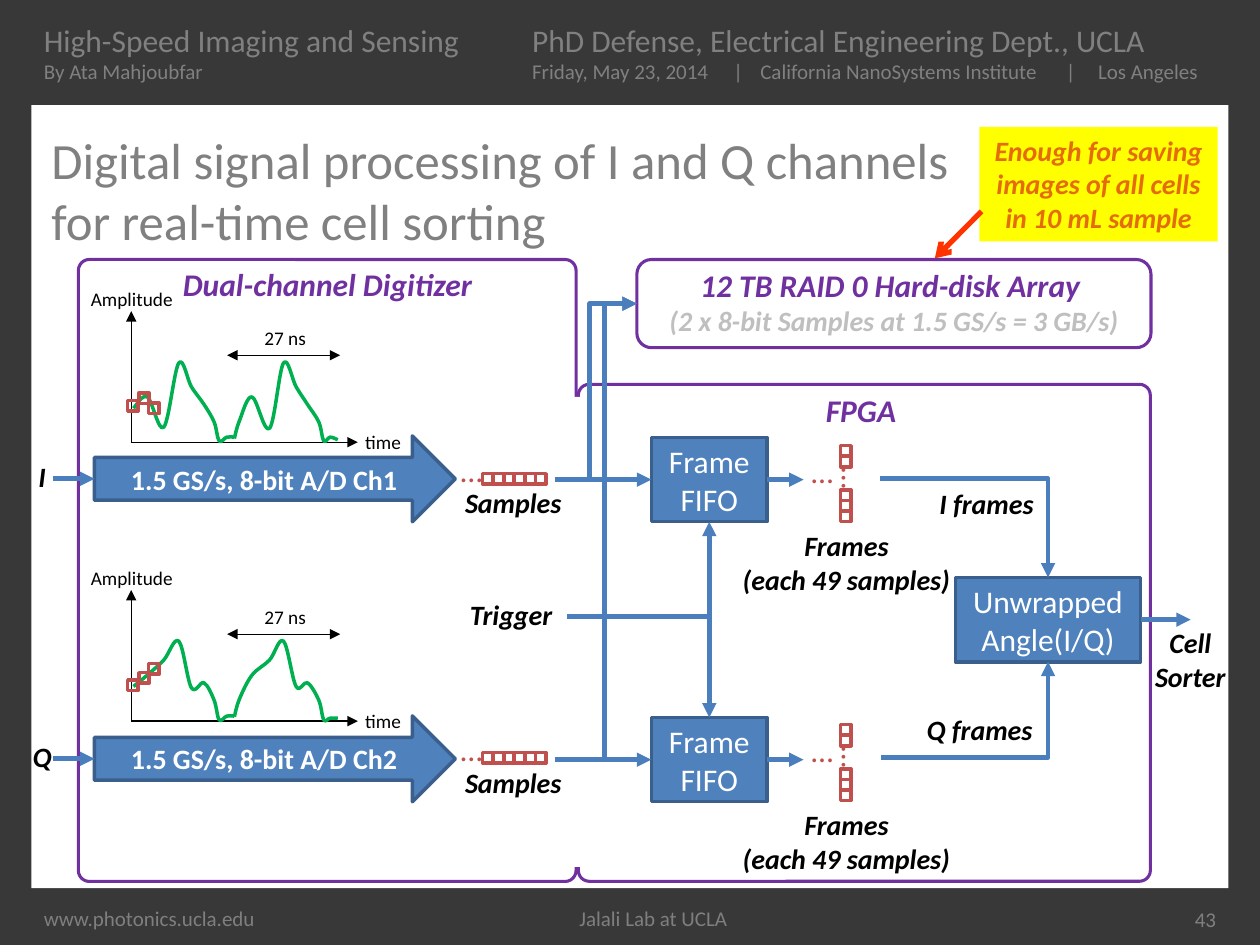
from lxml import etree
from pptx import Presentation
from pptx.dml.color import RGBColor
from pptx.enum import shapes, text
from pptx.oxml import ns
from pptx.util import Pt


class Theme:
    font = "Calibri"
    back, white, black = "383838", "FFFFFF", "000000"
    gray, foot, pale = "808080", "7F7F7F", "BFBFBF"
    blue, edge, wire = "4F81BD", "3A5F8C", "4B7EBC"
    purple, red, green = "7030A0", "C0504D", "00B050"
    yellow, orange, pointer = "FFFF00", "E46C0A", "FF3300"
    title, big, label, small, tiny = 29, 18, 16, 12, 11


RECT = shapes.MSO_SHAPE.RECTANGLE
ROUND = shapes.MSO_SHAPE.ROUNDED_RECTANGLE
ARROW = shapes.MSO_SHAPE.RIGHT_ARROW
LEFT, CENTER, RIGHT = text.PP_ALIGN.LEFT, text.PP_ALIGN.CENTER, text.PP_ALIGN.RIGHT
TOP, MIDDLE = text.MSO_ANCHOR.TOP, text.MSO_ANCHOR.MIDDLE

prs = Presentation()
prs.slide_width, prs.slide_height = Pt(720), Pt(540)
s = prs.slides.add_slide(prs.slide_layouts[6])
s.background.fill.solid()
s.background.fill.fore_color.rgb = RGBColor.from_string(Theme.back)


def box(x, y, w, h, paras=(), kind=None, fill=None, line=None, width=2, style="",
        align=CENTER, anchor=TOP, wrap=True, tabs=()):
    at = Pt(x), Pt(y), Pt(w), Pt(h)
    if kind is None:
        sp = s.shapes.add_textbox(*at)
    else:
        sp = s.shapes.add_shape(kind, *at)
        sp.shadow.inherit = False
        sp.fill.background()
        sp.line.fill.background()
        if fill:
            sp.fill.solid()
            sp.fill.fore_color.rgb = RGBColor.from_string(fill)
        if line:
            sp.line.color.rgb = RGBColor.from_string(line)
            sp.line.width = Pt(width)
    tf = sp.text_frame
    tf.word_wrap, tf.vertical_anchor = wrap, anchor
    for i, (words, size, color) in enumerate(paras):
        p = tf.add_paragraph() if i else tf.paragraphs[0]
        p.alignment = align
        if tabs:
            stops = etree.SubElement(p._p.get_or_add_pPr(), ns.qn("a:tabLst"))
            for stop in tabs:
                etree.SubElement(stops, ns.qn("a:tab"), pos=str(Pt(stop)), algn="l")
        for j, part in enumerate(words.split("\n")):
            if j:
                p.add_line_break()
            r = p.add_run()
            r.text = part
            r.font.name, r.font.size = Theme.font, Pt(size)
            r.font.color.rgb = RGBColor.from_string(color)
            r.font.bold, r.font.italic = "b" in style, "i" in style
    return sp


def wire(x1, y1, x2, y2, color=Theme.wire, width=2.75, head=None, tail="triangle",
         bent=False, start=None, end=None):
    kind = shapes.MSO_CONNECTOR.ELBOW if bent else shapes.MSO_CONNECTOR.STRAIGHT
    c = s.shapes.add_connector(kind, Pt(x1), Pt(y1), Pt(x2), Pt(y2))
    props = c._element.spPr
    if bent:
        props.find(ns.qn("a:prstGeom")).set("prst", "bentConnector2")
    c.line.color.rgb = RGBColor.from_string(color)
    c.line.width = Pt(width)
    ln = c.line._get_or_add_ln()
    for tag, tip in (("a:headEnd", head), ("a:tailEnd", tail)):
        if tip:
            etree.SubElement(ln, ns.qn(tag), type=tip)
    etree.SubElement(props, ns.qn("a:effectLst"))
    if start:
        c.begin_connect(*start)
    if end:
        c.end_connect(*end)


box(18, 509.8, 642, 30, [("www.photonics.ucla.edu\tJalali Lab at UCLA", Theme.small, Theme.foot)],
    align=LEFT, anchor=MIDDLE, tabs=[306])
box(18, 60, 684, 447.5, kind=RECT, fill=Theme.white)
box(18, 0, 684, 60, [
    ("High-Speed Imaging and Sensing\tPhD Defense, Electrical Engineering Dept., UCLA",
     Theme.big, Theme.gray),
    ("By Ata Mahjoubfar\tFriday, May 23, 2014\t|\tCalifornia NanoSystems Institute\t|\tLos Angeles",
     Theme.small, Theme.gray)],
    align=LEFT, anchor=MIDDLE, tabs=[279, 394, 409.4, 584, 602.4])
box(22.3, 60, 676, 97, [("Digital signal processing of I and Q channels\nfor real-time cell sorting",
                         Theme.title, Theme.gray)], align=LEFT, anchor=MIDDLE)
box(660, 510.5, 42, 29, [("43", Theme.small, Theme.gray)], align=RIGHT, anchor=MIDDLE)

for x, y, w, h in ((44.8, 148.3, 284.4, 355.4), (330.5, 219.6, 326.9, 284)):
    box(x, y, w, h, kind=ROUND, line=Theme.purple, width=1.75).adjustments[0] = 0.022
box(324, 226.8, 9.4, 268.6, kind=RECT, fill=Theme.white)
for words, x, y in (("Dual-channel Digitizer", 46.8, 148), ("FPGA", 351.6, 220)):
    box(x, y, 280.8, 28.8, [(words, Theme.big, Theme.purple)], style="bi")
box(363.9, 148.3, 293.8, 50.4, kind=ROUND, line=Theme.purple, width=1.75)
box(355.7, 144.7, 310.3, 74.9, [
    ("12 TB RAID 0 Hard-disk Array ", Theme.big, Theme.purple),
    ("(2 x 8-bit Samples at 1.5 GS/s = 3 GB/s)", Theme.label, Theme.pale)],
    kind=ROUND, style="bi")

pulse_x = [[76.3, 84.2, 93.6, 102.2, 109.4, 116.6, 122.4, 125.3, 129.6, 133.9],
           [133.9, 136.8, 144, 154, 162, 169.2, 175.7, 182.2, 185, 188.6, 193]]
channels = [
    ("I", "Ch1", [229, 224.6, 230.4],
     [[233.3, 226.8, 244.1, 207.4, 221, 231.1, 241.2, 252, 249.8, 249.8],
      [250.6, 240.5, 226.8, 244.8, 207.4, 221, 231.1, 241.2, 252, 249.8, 251.3]]),
    ("Q", "Ch2", [229.3, 225, 219.9],
     [[232.9, 226.4, 217.8, 207, 233.6, 230.8, 240.8, 252, 249.8, 249.8],
      [250.2, 240.1, 226.4, 217.8, 207, 232.9, 230.8, 240.8, 252, 251, 251]]),
]
fifos = []
for row, (name, adc, marks, pulses) in enumerate(channels):
    dy, lane = row * 159.4, row * 160
    box(11.5, 259.2 + lane, 25.2, 26.6, [(name, Theme.label, Theme.black)], style="bi", wrap=False)
    box(54, 249.1 + lane, 206.2, 49, [("1.5 GS/s, 8-bit A/D " + adc, Theme.label, Theme.white)],
        kind=ARROW, fill=Theme.blue, line=Theme.edge, style="b", anchor=MIDDLE)
    wire(30.2, 273.6 + lane, 54, 273.6 + lane)

    for x1, y1, x2, y2, head in ((75, 252.7, 75, 177.8, None), (75, 252.7, 204.5, 252.7, None),
                                 (194.4, 203, 129.8, 203, "triangle")):
        wire(x1, y1 + dy, x2, y2 + dy, Theme.black, 0.75, head)
    for words, x, y, w in (("time", 201.6, 242.6, 35.3), ("Amplitude", 44.8, 160.6, 61.2),
                           ("27 ns", 144, 183.1, 38.9)):
        box(x, y + dy, w, 20.9, [(words, Theme.tiny, Theme.black)], align=LEFT, wrap=False)
    for xs, ys in zip(pulse_x, pulses):
        pen = s.shapes.build_freeform(Pt(xs[0]), Pt(ys[0] + dy))
        pen.add_line_segments([(Pt(x), Pt(y + dy)) for x, y in zip(xs[1:], ys[1:])], close=False)
        sp = pen.convert_to_shape()
        sp.shadow.inherit = False
        sp.fill.background()
        sp.line.color.rgb = RGBColor.from_string(Theme.green)
        sp.line.width = Pt(2)
        knots = [(int(k.get("x")), int(k.get("y"))) for k in sp._element.iter(ns.qn("a:pt"))]
        knots = [knots[0]] + knots + [knots[-1]]
        steps = list(sp._element.iter(ns.qn("a:lnTo")))
        for step, a, b, c, d in zip(steps, knots, knots[1:], knots[2:], knots[3:]):
            leave = [b[i] + (c[i] - a[i]) / 6 for i in (0, 1)]
            reach = [c[i] - (d[i] - b[i]) / 6 for i in (0, 1)]
            bend = etree.Element(ns.qn("a:cubicBezTo"))
            for x, y in (leave, reach, c):
                etree.SubElement(bend, ns.qn("a:pt"), x=str(round(x)), y=str(round(y)))
            step.getparent().replace(step, bend)

    squares = list(zip((73, 79.3, 85), marks))
    squares += [(275.8 + 6.05 * i, 270.7) for i in range(6)]
    squares += [(480.4, y) for y in (254.7, 260.8, 280, 286, 292)]
    for x, y in squares:
        box(x, y + dy, 6, 6, kind=RECT, line=Theme.red)
    for x, y, turn in ((256.1, 254.2, 0), (474.5, 259.2, 90), (456.6, 254.9, 0)):
        box(x, y + dy, 27.4, 28.8, [("…", Theme.big, Theme.red)], align=LEFT, wrap=False).rotation = turn
    box(258, 273.8 + lane, 70.6, 26.6, [("Samples", Theme.label, Theme.black)], style="bi", wrap=False)
    box(416.4, 298.6 + dy, 134.6, 46, [("Frames", Theme.label, Theme.black),
                                       ("(each 49 samples)", Theme.label, Theme.black)],
        style="bi", wrap=False)

    fifo = box(372.2, 250 + lane, 66.2, 48.2, [("Frame FIFO", Theme.big, Theme.white)],
               kind=RECT, fill=Theme.blue, line=Theme.edge, anchor=MIDDLE)
    fifos.append(fifo)
    wire(317, 274.1 + lane, 372.2, 274.1 + lane, end=(fifo, 1))
    wire(438.4, 274.1 + lane, 459.2, 274.1 + lane, start=(fifo, 3))

angle = box(546, 330, 105.8, 48.2, [("Unwrapped\nAngle(I/Q)", Theme.big, Theme.white)],
            kind=RECT, fill=Theme.blue, line=Theme.edge, anchor=MIDDLE)
wire(405.3, 410, 405.3, 298.2, head="triangle", start=(fifos[1], 0), end=(fifos[0], 2))
wire(405.3, 352.5, 324, 352.5, tail=None)
wire(651.8, 354.1, 680.4, 354.1, start=(angle, 3))
wire(502.6, 273.6, 598.9, 330, bent=True)
wire(503.3, 432.9, 598.9, 378.2, bent=True)
for x, y in ((337, 273.6), (345.6, 433.4)):
    wire(363.9, 173.5, x, y, head="triangle", tail=None, bent=True)

for words, x, y, w in (("Trigger", 260.8, 337.7, 62.6), ("I frames", 529.2, 274.3, 69.1),
                       ("Q frames", 522, 403.5, 75.6)):
    box(x, y, w, 26.6, [(words, Theme.label, Theme.black)], style="bi", wrap=False)
box(652.5, 354, 55.4, 46, [(words, Theme.label, Theme.black) for words in ("Cell", "Sorter")],
    style="bi", wrap=False)
box(559.7, 72.5, 136.1, 65.5, [("Enough for saving images of all cells in 10 mL sample",
                                Theme.label, Theme.orange)], kind=RECT, fill=Theme.yellow, style="bi")
wire(560.9, 120.8, 534.2, 147.6, Theme.pointer, 3, tail="arrow")

prs.save("out.pptx")
